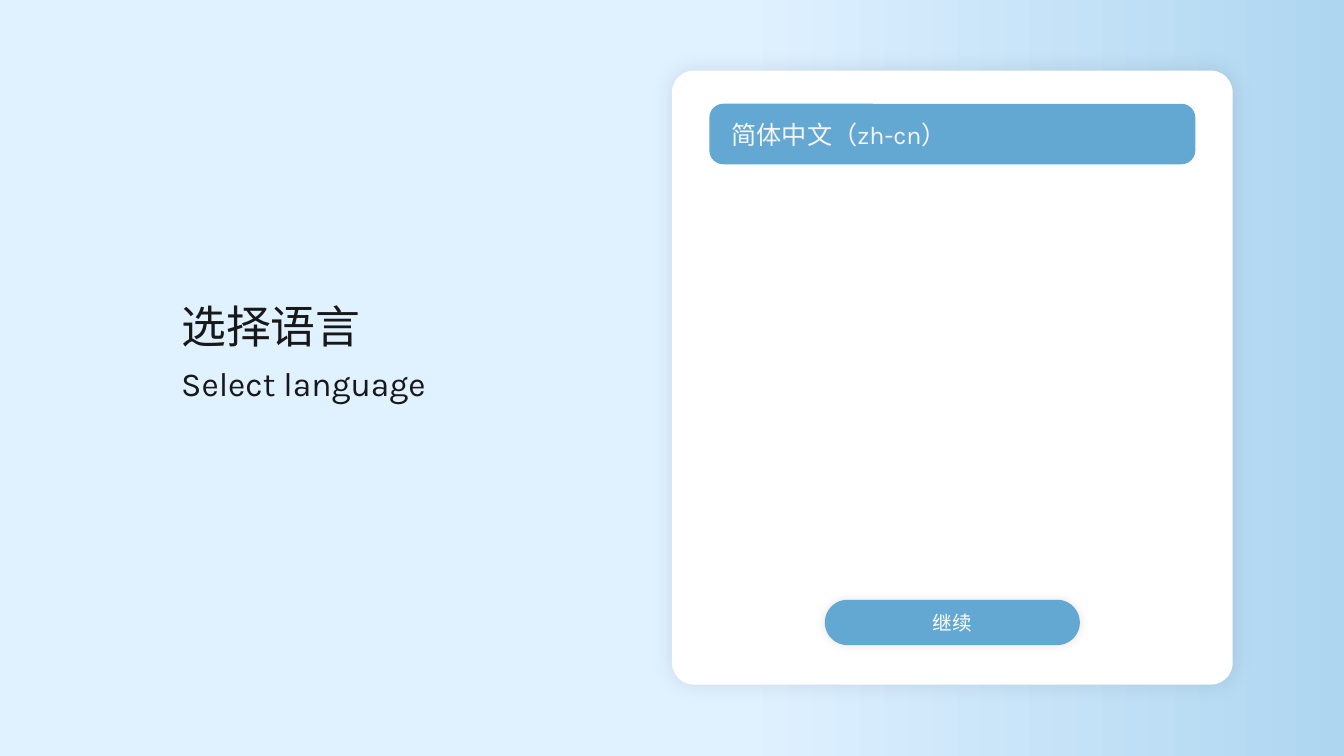
from lxml.etree import SubElement
from pptx import Presentation
from pptx.dml.color import RGBColor
from pptx.enum.shapes import MSO_SHAPE
from pptx.enum.text import MSO_ANCHOR, MSO_AUTO_SIZE, PP_ALIGN
from pptx.oxml.ns import qn
from pptx.util import Inches, Pt

COLORS = {
    "sky": "E0F1FF",
    "sky_edge": "AED6F1",
    "ink": "181818",
    "card": "FFFFFF",
    "accent": "62A8D3",
    "option_text": "F5F5F5",
    "button_text": "FFFFFF",
    "shadow": "000000",
}
FONT = "Karla"
COLUMNS, ROWS = 160, 90


def color(name):
    return RGBColor.from_string(COLORS[name])


def write_text(frame, text, size, ink, align=PP_ALIGN.LEFT, indent=0):
    para = frame.paragraphs[0]
    para.alignment = align
    if indent:
        properties = para._p.get_or_add_pPr()
        properties.set("marL", str(Inches(indent)))
        properties.set("indent", "0")
    span = para.add_run()
    span.text = text
    span.font.name = FONT
    span.font.size = Pt(size)
    span.font.color.rgb = color(ink)


class SlideBuilder:
    """Draws on one slide; places are (left, top, width, height) in grid units."""

    def __init__(self, deck):
        self.slide = deck.slides.add_slide(deck.slide_layouts[6])
        self.column = deck.slide_width / COLUMNS
        self.row = deck.slide_height / ROWS

    def emu(self, place):
        left, top, width, height = place
        return (round(left * self.column), round(top * self.row),
                round(width * self.column), round(height * self.row))

    def background(self, *stops):
        fill = self.slide.background.fill
        fill.gradient()
        fill.gradient_angle = 0
        for stop, (position, name) in zip(fill.gradient_stops, stops):
            stop.position = position
            stop.color.rgb = color(name)

    def label(self, place, text, **style):
        box = self.slide.shapes.add_textbox(*self.emu(place))
        box.text_frame.word_wrap = True
        box.text_frame.auto_size = MSO_AUTO_SIZE.SHAPE_TO_FIT_TEXT
        write_text(box.text_frame, text, **style)

    def panel(self, place, fill, rounding, blur=0, text=None, **style):
        box = self.slide.shapes.add_shape(MSO_SHAPE.ROUNDED_RECTANGLE, *self.emu(place))
        box.adjustments[0] = rounding
        box.fill.solid()
        box.fill.fore_color.rgb = color(fill)
        box.line.fill.background()
        box.shadow.inherit = False
        if blur:
            self.glow(box, blur)
        if text:
            box.text_frame.word_wrap = True
            box.text_frame.vertical_anchor = MSO_ANCHOR.MIDDLE
            write_text(box.text_frame, text, **style)

    def glow(self, box, blur):
        """Give the box a soft, centred shadow at 10 % opacity."""
        effects = box._element.spPr.find(qn("a:effectLst"))
        shadow = SubElement(effects, qn("a:outerShdw"), blurRad=str(Pt(blur)),
                            dist="0", dir="0", algn="ctr", rotWithShape="0")
        tint = SubElement(shadow, qn("a:srgbClr"), val=COLORS["shadow"])
        SubElement(tint, qn("a:alpha"), val="10000")


def main():
    deck = Presentation()
    deck.slide_width, deck.slide_height = Inches(13.33), Inches(7.5)
    page = SlideBuilder(deck)
    page.background((0.55, "sky"), (1, "sky_edge"))

    page.label((20.4, 34.92, 35.64, 7.68), "选择语言", size=32, ink="ink")
    page.label((20.4, 42.6, 49.56, 6), "Select language", size=24, ink="ink")

    card_left, card_width = 80, 66.75

    def centered(top, width, height):
        return card_left + (card_width - width) / 2, top, width, height

    page.panel(centered(8.4, card_width, 73.1), "card", 0.039, blur=16)
    page.panel(centered(12.36, 57.85, 7.2), "accent", 0.229,
               text="简体中文（zh-cn）", size=18, ink="option_text", indent=0.08)
    page.panel(centered(71.4, 30.36, 5.4), "accent", 0.5, blur=7,
               text="继续", size=14, ink="button_text", align=PP_ALIGN.CENTER)

    deck.save("out.pptx")


if __name__ == "__main__":
    main()
